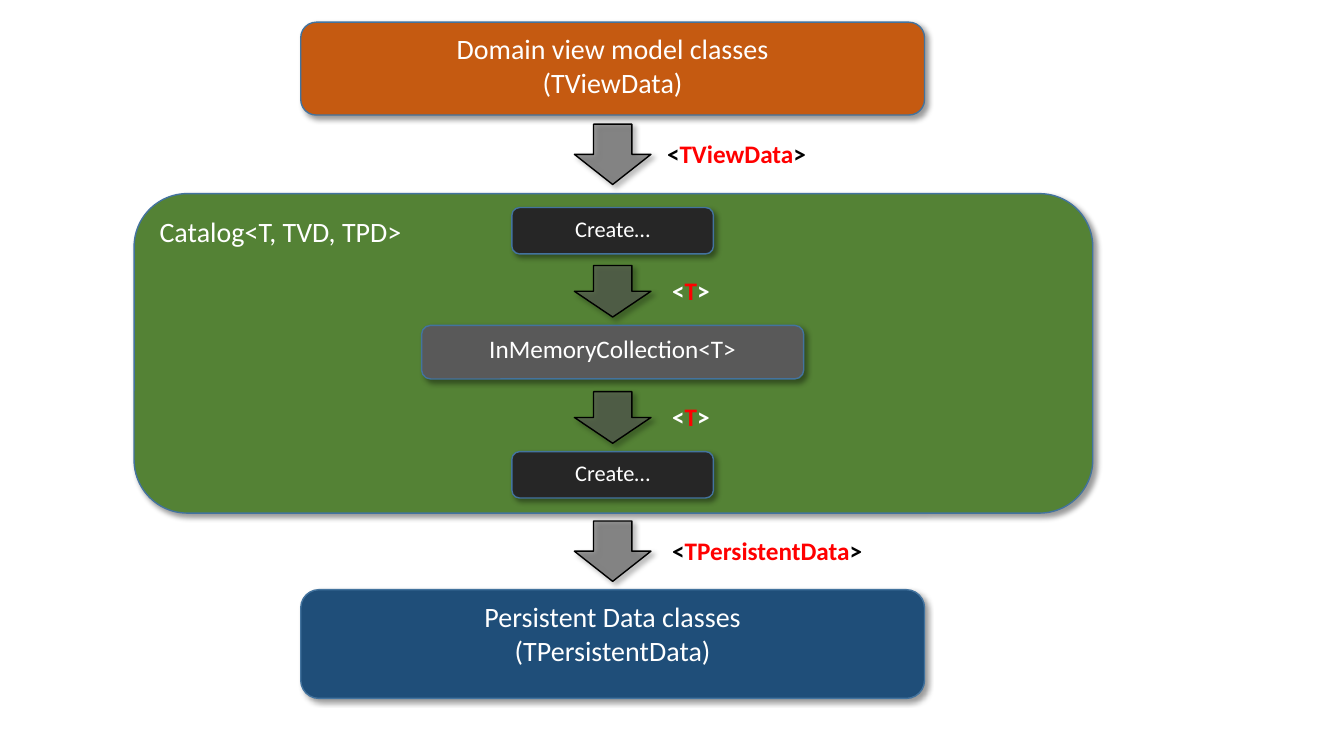
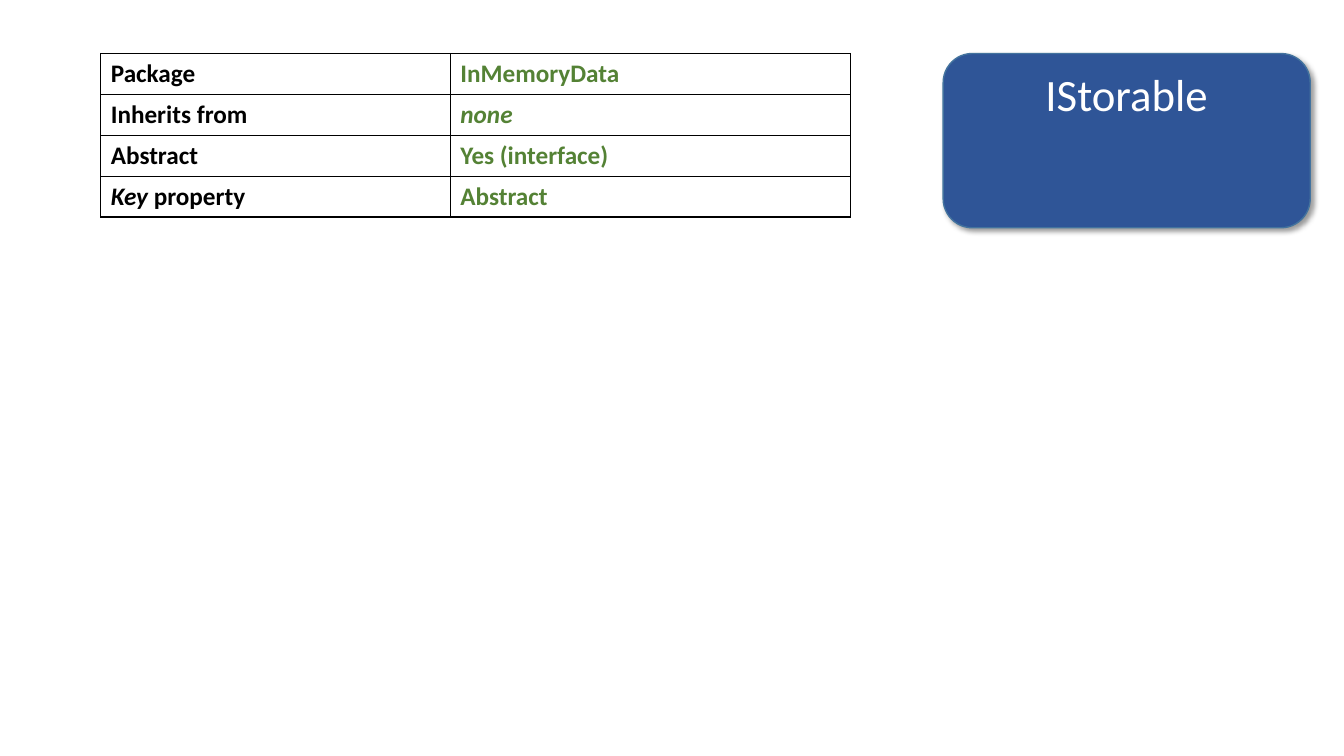
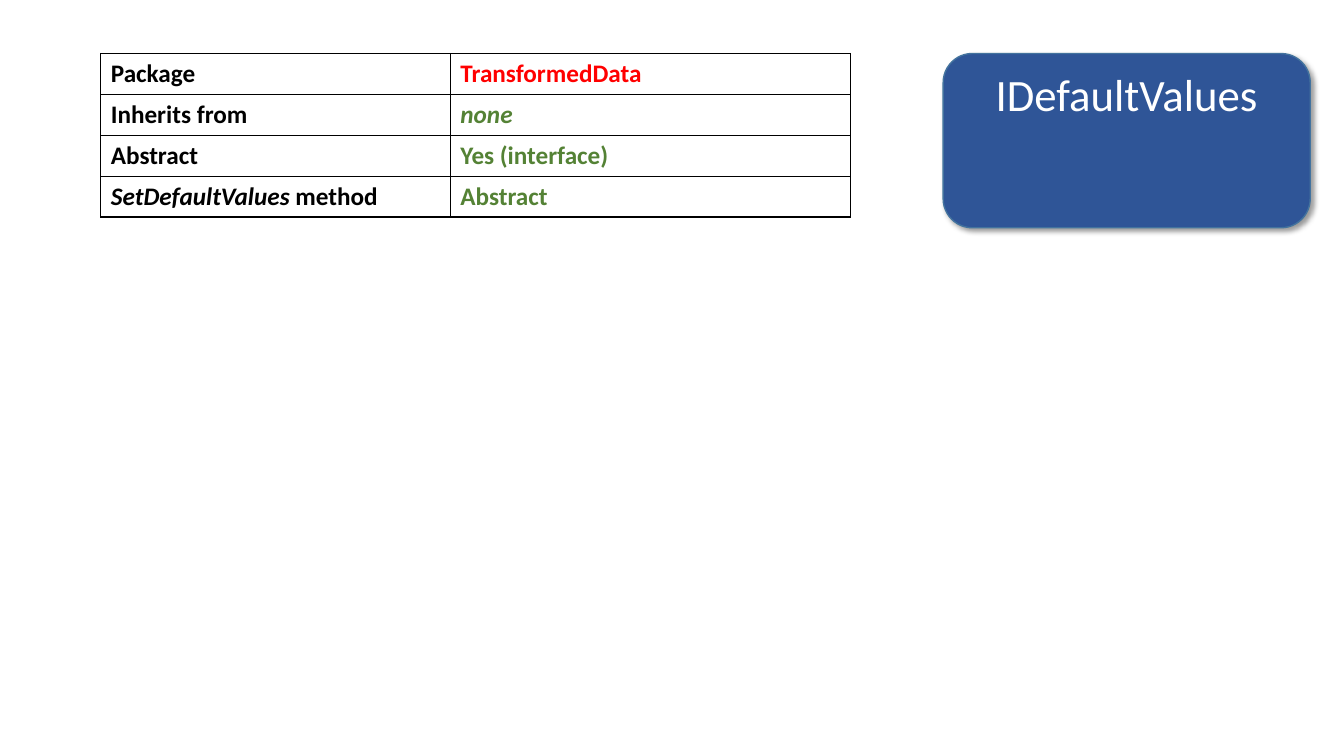
from lxml import etree
from pptx import Presentation
from pptx import util as u
from pptx.dml.color import RGBColor
from pptx.enum import shapes, text
from pptx.oxml import ns

# Shared style
FONT = "Calibri"
BLACK, WHITE, RED, GREEN = "000000", "FFFFFF", "FF0000", "548235"
ORANGE, NAVY, BLUE = "C55A11", "1F4E79", "2F5597"
GREY, CHARCOAL, OUTLINE = "595959", "262626", "43739E"

AXIS = 15.44  # horizontal centre of the flow, in cm


def color(value):
    return RGBColor.from_string(value)


def add_xml(parent, tag, **attributes):
    child = etree.SubElement(parent, ns.qn(tag))
    for name, value in attributes.items():
        child.set(name, str(value))
    return child


class Deck:
    """Holds the style and the current slide."""

    def __init__(self):
        self.presentation = Presentation()
        self.presentation.slide_width = u.Cm(33.87)
        self.presentation.slide_height = u.Cm(19.05)
        self.slide = None

    def new_slide(self):
        self.slide = self.presentation.slides.add_slide(
            self.presentation.slide_layouts[6])

    def run(self, paragraph, words, size, ink, bold=False, italic=False):
        run = paragraph.add_run()
        run.text = words
        font = run.font
        font.name, font.size = FONT, u.Pt(size)
        font.bold, font.italic = bold, italic
        font.color.rgb = color(ink)

    def shape(self, kind, left, top, width, height, fill, line):
        shape = self.slide.shapes.add_shape(
            kind, u.Cm(left), u.Cm(top), u.Cm(width), u.Cm(height))
        shape.fill.solid()
        shape.fill.fore_color.rgb = color(fill)
        shape.line.color.rgb = color(line)
        shape.line.width = u.Pt(1)
        # Soft shadow to the lower right
        shape.shadow.inherit = False
        effects = shape.element.spPr.find(ns.qn("a:effectLst"))
        shadow = add_xml(effects, "a:outerShdw", blurRad=u.Pt(4),
                         dist=u.Pt(3), dir=45 * 60000, algn="tl", rotWithShape=0)
        add_xml(add_xml(shadow, "a:srgbClr", val=BLACK), "a:alpha", val=40000)
        return shape

    def box(self, left, top, width, height, fill, lines, size,
            align=text.PP_ALIGN.CENTER):
        shape = self.shape(shapes.MSO_SHAPE.ROUNDED_RECTANGLE,
                           left, top, width, height, fill, OUTLINE)
        frame = shape.text_frame
        frame.word_wrap = True
        frame.vertical_anchor = text.MSO_ANCHOR.TOP
        for index, line in enumerate(lines):
            paragraph = frame.add_paragraph() if index else frame.paragraphs[0]
            paragraph.alignment = align
            self.run(paragraph, line, size, WHITE)

    def centered_box(self, top, width, height, *style):
        self.box(AXIS - width / 2, top, width, height, *style)

    def down_arrow(self, middle, length, width=1.93):
        arrow = self.shape(shapes.MSO_SHAPE.RIGHT_ARROW, AXIS - length / 2,
                           middle - width / 2, length, width, GREY, BLACK)
        arrow.rotation = 90
        fill = arrow.element.spPr.find(ns.qn("a:solidFill"))
        add_xml(fill[0], "a:alpha", val=60000)

    def type_label(self, left, top, width, name, bracket_ink):
        label = self.slide.shapes.add_textbox(
            u.Cm(left), u.Cm(top), u.Cm(width), u.Cm(1.02))
        frame = label.text_frame
        frame.word_wrap = False
        frame.auto_size = text.MSO_AUTO_SIZE.SHAPE_TO_FIT_TEXT
        for words, ink in (("<", bracket_ink), (name, RED), (">", bracket_ink)):
            self.run(frame.paragraphs[0], words, 18, ink, bold=True)

    def table(self, left, top, widths, row_height, rows):
        """Each cell is a list of (words, ink, italic) runs."""
        table = self.slide.shapes.add_table(
            len(rows), len(widths), u.Cm(left), u.Cm(top),
            u.Cm(sum(widths)), u.Cm(row_height * len(rows))).table
        table.first_row = table.horz_banding = False
        for column, width in zip(table.columns, widths):
            column.width = u.Cm(width)
        for row, contents in zip(table.rows, rows):
            row.height = u.Cm(row_height)
            for cell, runs in zip(row.cells, contents):
                self.border(cell)
                cell.fill.background()
                for words, ink, italic in runs:
                    self.run(cell.text_frame.paragraphs[0], words, 18, ink,
                             bold=True, italic=italic)

    def border(self, cell):
        properties = cell._tc.get_or_add_tcPr()
        for side in ("a:lnL", "a:lnR", "a:lnT", "a:lnB"):
            line = add_xml(properties, side, w=u.Pt(1))
            add_xml(add_xml(line, "a:solidFill"), "a:srgbClr", val=BLACK)


def flow_slide(deck):
    deck.new_slide()

    # Layers, from top to bottom
    deck.box(AXIS - 12.06, 4.88, 24.16, 8.05, GREEN, ["Catalog<T, TVD, TPD>"],
             20, text.PP_ALIGN.LEFT)
    deck.centered_box(0.56, 15.72, 2.34, ORANGE,
                      ["Domain view model classes", "(TViewData)"], 20)
    deck.centered_box(14.86, 15.72, 2.74, NAVY,
                      ["Persistent Data classes", "(TPersistentData)"], 20)

    # Inside the catalog
    deck.centered_box(8.2, 9.63, 1.35, GREY, ["InMemoryCollection<T>"], 18)
    for top in (5.23, 11.38):
        deck.centered_box(top, 5.08, 1.17, CHARCOAL, ["Create…"], 16)

    # Arrows with the type they carry
    for middle, length, left, width, name, ink in (
            (3.89, 1.52, 16.56, 4.04, "TViewData", BLACK),
            (7.34, 1.3, 16.69, 1.47, "T", WHITE),
            (10.52, 1.3, 16.69, 1.47, "T", WHITE),
            (13.89, 1.52, 16.69, 5.33, "TPersistentData", BLACK)):
        deck.down_arrow(middle, length)
        deck.type_label(left, middle - 0.52, width, name, ink)


def interface_slide(deck, name, package, package_ink, member, member_kind):
    deck.new_slide()
    deck.box(23.77, 1.35, 9.25, 4.39, BLUE, [name], 32)
    deck.table(2.54, 1.35, (8.81, 10.08), 1.03, [
        [[("Package", BLACK, False)], [(package, package_ink, False)]],
        [[("Inherits from", BLACK, False)], [("none", GREEN, True)]],
        [[("Abstract", BLACK, False)], [("Yes (interface)", GREEN, False)]],
        [[(member, BLACK, True), (" " + member_kind, BLACK, False)],
         [("Abstract", GREEN, False)]],
    ])


def main():
    deck = Deck()
    flow_slide(deck)
    interface_slide(deck, "IStorable", "InMemoryData", GREEN, "Key", "property")
    interface_slide(deck, "IDefaultValues", "TransformedData", RED,
                    "SetDefaultValues", "method")
    deck.presentation.save("out.pptx")


if __name__ == "__main__":
    main()
